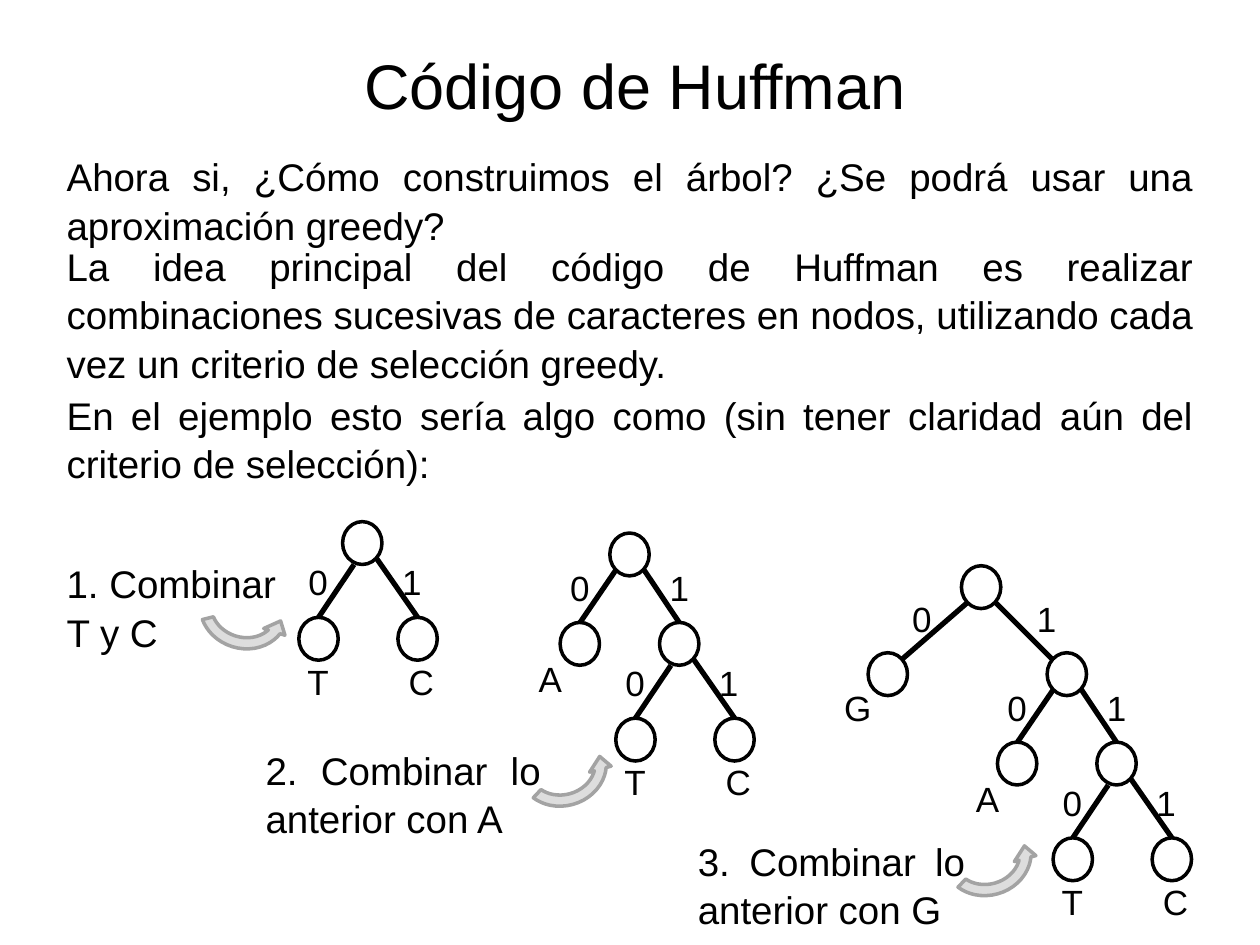
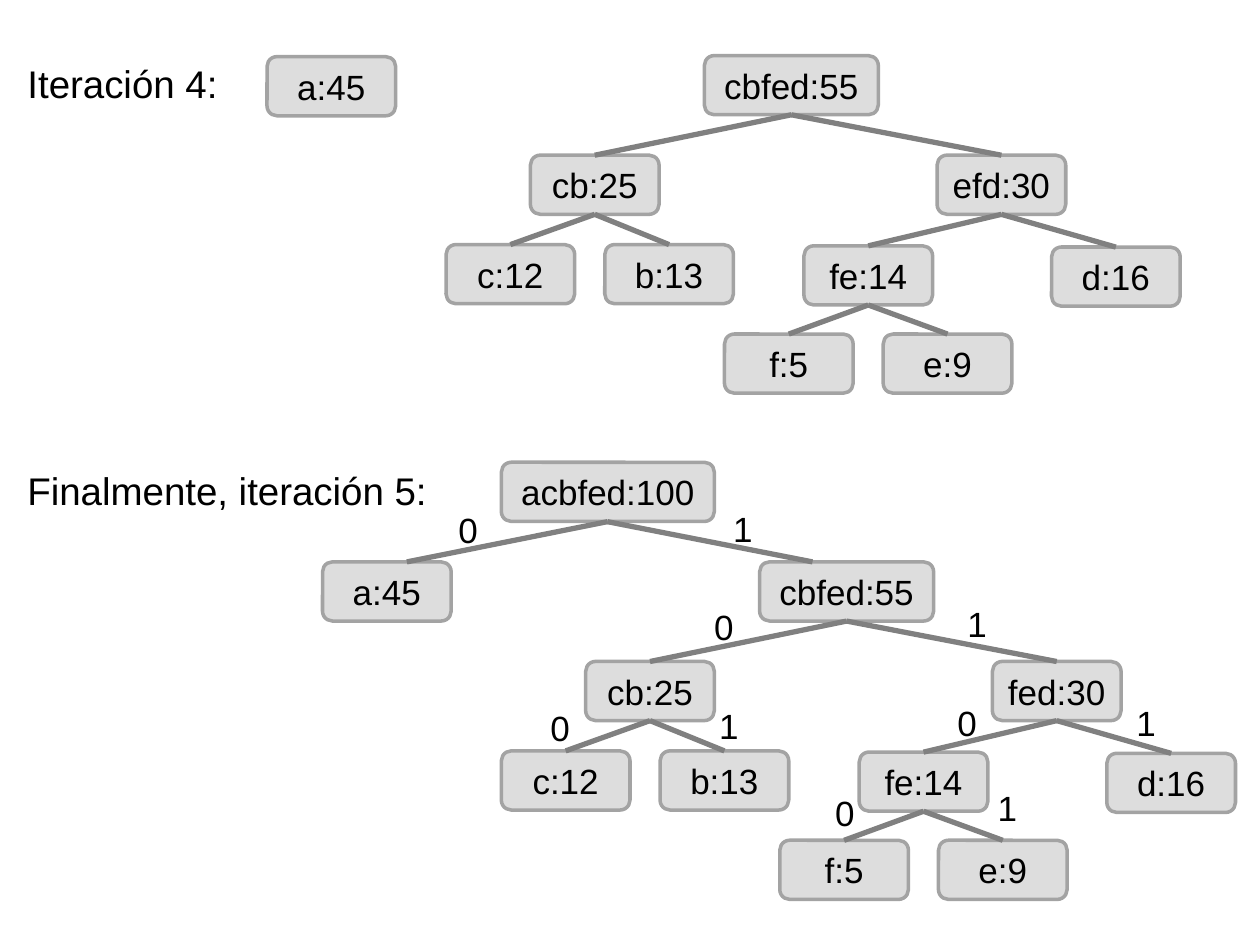
from dataclasses import dataclass

from lxml.etree import SubElement
from pptx import Presentation
from pptx.dml.color import RGBColor
from pptx.enum.shapes import MSO_CONNECTOR, MSO_SHAPE
from pptx.enum.text import MSO_ANCHOR, PP_ALIGN
from pptx.oxml.ns import qn
from pptx.util import Pt

COLORS = {"ink": "000000", "fill": "DDDDDD", "border": "A3A3A3", "edge": "808080"}
FONT = "Arial"
CIRCLE_W, CIRCLE_H = 22.5, 24.5
NODE_W, NODE_H = 73.5, 33.8
ARROW_ANGLES = (0.125, 11.423, 204.577, 126.829, 0.125)


@dataclass
class Level:
    left: tuple
    right: tuple
    edges: tuple
    letters: tuple


PAIR = Level(
    (-25, 54.7), (31.6, 54.7),
    ((6.5, 24.5, -13.8, 54.7), (19.4, 21, 42.9, 54.7)),
    (("0", -31, 18.7), ("1", 22.5, 18.7), ("T", -31, 75.6), ("C", 28, 75.6)),
)
WITH_A = Level(
    (-28.4, 51.1), (28.4, 51.1),
    ((3.6, 20.9, -17, 51.1), (19.4, 20.9, 39.6, 51.1)),
    (("0", -34.2, 15.5), ("1", 22.7, 15.5), ("A", -51.1, 67.7)),
)
WITH_G = Level(
    (-53.3, 49.7), (49, 49.7),
    ((3.6, 20.9, -33.8, 53.3), (19.4, 20.9, 51.8, 53.3)),
    (("0", -39.6, 14.4), ("1", 31.7, 14.4), ("G", -76.3, 65.5)),
)

SUBTREE = {
    "cbfed:55": (0, 0),
    "cb:25": (-99.4, 56.9),
    "efd:30": (133, 56.9),
    "c:12": (-147.6, 108),
    "b:13": (-56.9, 108),
    "fe:14": (56.9, 108.7),
    "d:16": (198.4, 109.4),
    "f:5": (11.5, 159.1),
    "e:9": (102.2, 159.1),
}
CHILDREN = {
    "cbfed:55": ("cb:25", "efd:30"),
    "cb:25": ("c:12", "b:13"),
    "efd:30": ("fe:14", "d:16"),
    "fe:14": ("f:5", "e:9"),
}
BITS = (
    ((-183.6, -33.8), (-26.6, -34.6)),
    ((-37.4, 21.6), (107.3, 19.4)),
    ((-131, 79.2), (-34.6, 77.8)),
    ((31.7, 127.4), (124.6, 124.6)),
    ((101.5, 76.3), (203.8, 76.3)),
)


def color(name):
    return RGBColor.from_string(COLORS[name])


def style(paragraph, size, align):
    paragraph.alignment = align
    paragraph.font.size = Pt(size)
    paragraph.font.name = FONT
    paragraph.font.color.rgb = color("ink")


def add_text(slide, text, box, size=22, align=PP_ALIGN.JUSTIFY, anchor=MSO_ANCHOR.TOP, spacing=None):
    frame = slide.shapes.add_textbox(*map(Pt, box)).text_frame
    frame.word_wrap = True
    frame.vertical_anchor = anchor
    frame.text = text
    for paragraph in frame.paragraphs:
        style(paragraph, size, align)
        if spacing:
            paragraph.line_spacing = spacing


def add_body(slide, text, box):
    add_text(slide, text, box, spacing=1.05)


def add_letter(slide, letter, x, y):
    add_text(slide, letter, (x, y, 34, 31.5), 20, PP_ALIGN.CENTER)


def add_edge(slide, ends, tone):
    edge = slide.shapes.add_connector(MSO_CONNECTOR.STRAIGHT, *map(Pt, ends))
    edge.line.color.rgb = color(tone)
    edge.line.width = Pt(3)
    SubElement(edge._element.spPr, qn("a:effectLst"))
    return edge


def add_outlined(slide, kind, box, border, filled=True):
    shape = slide.shapes.add_shape(kind, *map(Pt, box))
    shape.shadow.inherit = False
    shape.line.color.rgb = color(border)
    shape.line.width = Pt(2)
    if filled:
        shape.fill.solid()
        shape.fill.fore_color.rgb = color("fill")
    else:
        shape.fill.background()
    return shape


def add_circle(slide, x, y):
    add_outlined(slide, MSO_SHAPE.OVAL, (x, y, CIRCLE_W, CIRCLE_H), "ink", False)


def add_circle_tree(slide, x, y, levels):
    add_circle(slide, x, y)
    for level in levels:
        for dx, dy in (level.left, level.right):
            add_circle(slide, x + dx, y + dy)
        for x1, y1, x2, y2 in level.edges:
            add_edge(slide, (x + x1, y + y1, x + x2, y + y2), "ink")
        for letter, dx, dy in level.letters:
            add_letter(slide, letter, x + dx, y + dy)
        x, y = x + level.right[0], y + level.right[1]


def add_curved_arrow(slide, x, y, rotation):
    arrow = add_outlined(slide, MSO_SHAPE.CIRCULAR_ARROW, (x, y, 56.9, 51.1), "border")
    for index, value in enumerate(ARROW_ANGLES):
        arrow.adjustments[index] = value
    arrow.rotation = rotation
    arrow._element.spPr.xfrm.set("flipV", "1")


def add_node(slide, label, x, y, width=NODE_W):
    node = add_outlined(slide, MSO_SHAPE.ROUNDED_RECTANGLE, (x, y, width, NODE_H), "border")
    node.text_frame.text = label
    node.text_frame.vertical_anchor = MSO_ANCHOR.MIDDLE
    style(node.text_frame.paragraphs[0], 20, PP_ALIGN.CENTER)
    return node


def add_subtree(slide, x, y, right_label):
    nodes = {}
    for key, (dx, dy) in SUBTREE.items():
        label = right_label if key == "efd:30" else key
        width = 99.4 if key == "cbfed:55" else NODE_W
        nodes[key] = add_node(slide, label, x + dx, y + dy, width)
    for parent, children in CHILDREN.items():
        for child in children:
            edge = add_edge(slide, (0, 0, 0, 0), "edge")
            edge.begin_connect(nodes[parent], 2)
            edge.end_connect(nodes[child], 0)


def add_final_tree(slide, x, y):
    add_subtree(slide, x, y, "fed:30")
    add_node(slide, "a:45", x - 249.8, y)
    add_node(slide, "acbfed:100", x - 147.6, y - 56.9, 121.7)
    for target in (-201.6, 30.2):
        add_edge(slide, (x - 87, y - 23, x + target, y), "edge")
    for pair in BITS:
        for bit, (dx, dy) in zip("01", pair):
            add_letter(slide, bit, x + dx, y + dy)


def build_combinations(slide):
    add_text(slide, "Código de Huffman", (36.7, 15.1, 652.3, 58.3), 36,
             PP_ALIGN.CENTER, MSO_ANCHOR.BOTTOM)
    for text, top, height in (
        ("Ahora si, ¿Cómo construimos el árbol? ¿Se podrá usar una aproximación greedy?", 82.8, 57),
        ("La idea principal del código de Huffman es realizar combinaciones sucesivas de "
         "caracteres en nodos, utilizando cada vez un criterio de selección greedy.", 133.9, 85),
        ("En el ejemplo esto sería algo como (sin tener claridad aún del criterio de selección):",
         218.9, 57),
    ):
        add_body(slide, text, (31, top, 658, height))
    for text, box in (
        ("1. Combinar\nT y C", (31, 315.4, 147.6, 57)),
        ("2. Combinar lo anterior con A", (144.7, 421.9, 171.4, 57.6)),
        ("3. Combinar lo anterior con G", (391.7, 473.8, 167, 62.6)),
    ):
        add_body(slide, text, box)
    add_circle_tree(slide, 195.8, 298.1, [PAIR])
    add_circle_tree(slide, 348.5, 304.6, [WITH_A, PAIR])
    add_circle_tree(slide, 549.4, 323.3, [WITH_G, WITH_A, PAIR])
    for x, y, rotation in ((110.9, 322.6, 17.5), (293, 412.6, 344.6), (535.7, 463.7, 344.6)):
        add_curved_arrow(slide, x, y, rotation)


def build_iterations(slide):
    add_body(slide, "Iteración 4:", (8.6, 29.5, 130.3, 39.6))
    add_node(slide, "a:45", 152.6, 32.4)
    add_subtree(slide, 402.5, 31.8, "efd:30")
    add_body(slide, "Finalmente, iteración 5:", (8.6, 262.1, 249.1, 39.6))
    add_final_tree(slide, 434.1, 321.1)


def main():
    deck = Presentation()
    deck.slide_width, deck.slide_height = Pt(720), Pt(540)
    for build in (build_combinations, build_iterations):
        build(deck.slides.add_slide(deck.slide_layouts[6]))
    deck.save("out.pptx")


if __name__ == "__main__":
    main()
